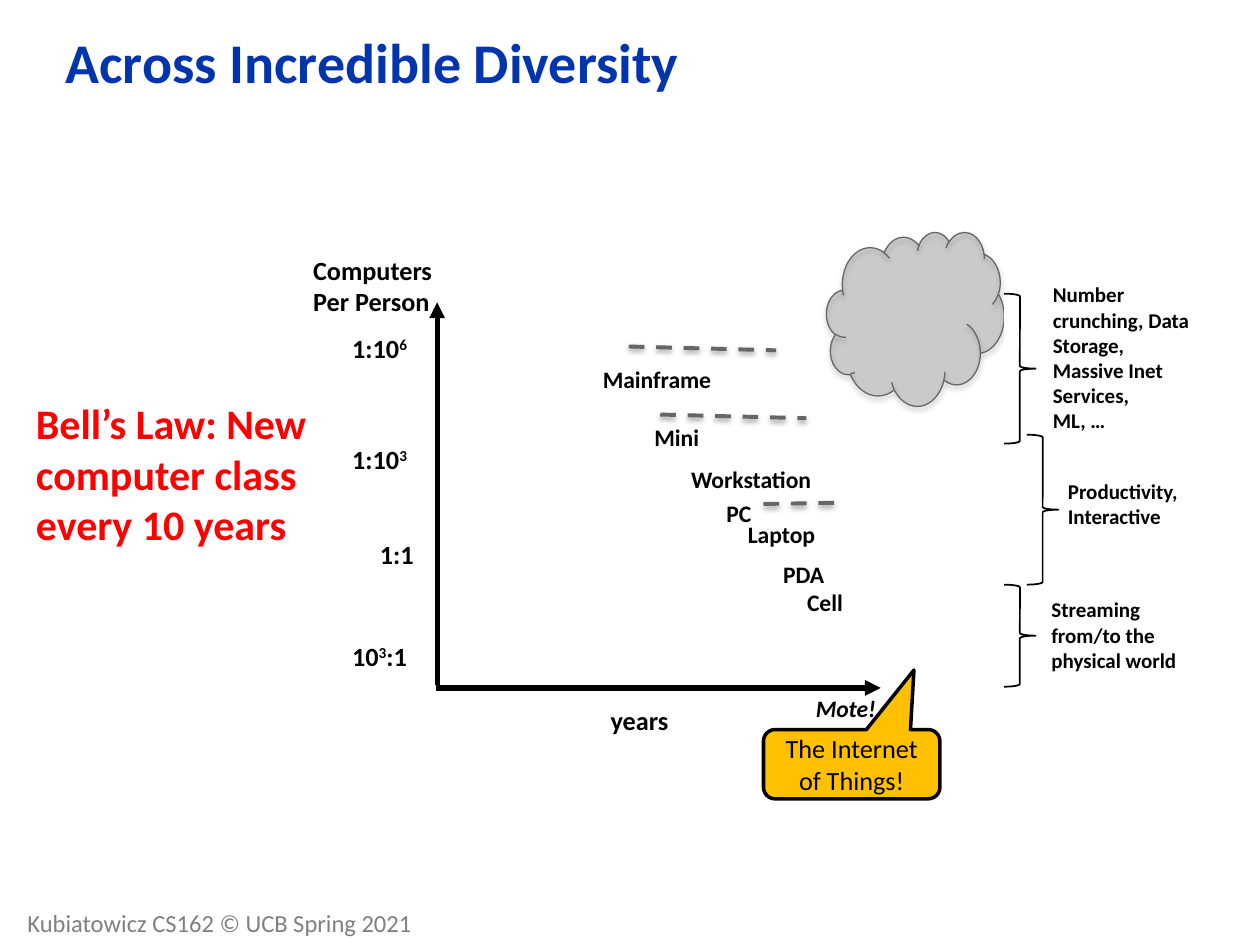
"""Build the Bell's Law slide on the diversity of computer classes."""
from lxml import etree
from pptx import Presentation
from pptx import util as u
from pptx.dml import color
from pptx.enum import dml, shapes, text
from pptx.oxml import ns

Pt = u.Pt
COLORS = {
    "title": "0234AD", "ink": "000000", "law": "FF0000", "dash": "666666",
    "callout": "FFC000", "paper": "FFFFFF", "footer": "808080",
}
RGB = {name: color.RGBColor.from_string(value) for name, value in COLORS.items()}
BOX = {
    "margin_left": Pt(5.4), "margin_right": Pt(5.4), "margin_top": Pt(2.7),
    "margin_bottom": Pt(2.7), "word_wrap": True, "auto_size": text.MSO_AUTO_SIZE.NONE,
}
WIDE = {**BOX, "margin_left": Pt(7.2), "margin_right": Pt(7.2),
        "margin_top": Pt(3.6), "margin_bottom": Pt(3.6)}
LEFT, CENTER = text.PP_ALIGN.LEFT, text.PP_ALIGN.CENTER


def write(shape, lines, size, ink="ink", align=LEFT, frame=BOX, **style):
    """Fill a shape with one paragraph a line; text between carets is superscript."""
    for name, value in frame.items():
        setattr(shape.text_frame, name, value)
    for number, line in enumerate(lines.split("\n")):
        para = shape.text_frame.paragraphs[0] if number == 0 else shape.text_frame.add_paragraph()
        para.alignment = align
        for part, words in enumerate(line.split("^")):
            if not words:
                continue
            span = para.add_run()
            span.text = words
            for name, value in {"name": "Calibri", "size": Pt(size), "bold": True, **style}.items():
                setattr(span.font, name, value)
            span.font.color.rgb = RGB[ink]
            if part % 2:
                span.font._element.set("baseline", "30000")


def add_effects(shape, opacity=0):
    """Give a shape an empty effect list, or a soft shadow below it."""
    for old in shape._element.spPr.findall(ns.qn("a:effectLst")):
        shape._element.spPr.remove(old)
    effects = etree.SubElement(shape._element.spPr, ns.qn("a:effectLst"))
    if opacity:
        shadow = etree.SubElement(effects, ns.qn("a:outerShdw"), blurRad="40000",
                                  dist="21500", dir="5400000", rotWithShape="0")
        ink = etree.SubElement(shadow, ns.qn("a:srgbClr"), val=COLORS["ink"])
        etree.SubElement(ink, ns.qn("a:alpha"), val=str(opacity * 1000))


deck = Presentation()
deck.slide_width, deck.slide_height = Pt(720), Pt(540)
page = deck.slides.add_slide(deck.slide_layouts[5])

title = page.shapes.title
title.left, title.top, title.width, title.height = Pt(30.24), Pt(21.6), Pt(563.76), Pt(31.68)
write(title, "Across Incredible Diversity", 32, "title",
      frame={**WIDE, "vertical_anchor": text.MSO_ANCHOR.MIDDLE})
title.text_frame.paragraphs[0].line_spacing = 0.9

axis_labels = [
    ("years", 335.5, 399.6, 59.8, 24, CENTER),
    ("Computers\nPer Person", 173.5, 142.6, 101.5, 42, LEFT),
    ("1:10^6^", 195.8, 187.2, 54, 24, LEFT),
    ("1:10^3^", 195.8, 250.6, 54, 24, LEFT),
    ("1:1", 211.7, 304.6, 38.9, 24, LEFT),
    ("10^3^:1", 195.8, 362.9, 54, 24, LEFT),
]
for label, left, top, width, height, align in axis_labels:
    box = page.shapes.add_textbox(Pt(left), Pt(top), Pt(width), Pt(height))
    write(box, label, 15, align=align)

computer_classes = [
    ("Mainframe", 339.1, 205.9, 110.9), ("Mini", 368.6, 239, 59.8),
    ("Workstation", 389.5, 262.8, 106.6), ("PC", 409.7, 282.2, 39.6),
    ("Laptop", 421.9, 294.5, 87.1), ("PDA", 442.1, 317.5, 50.4),
    ("Cell", 455.8, 333.4, 41), ("Mote!", 460.8, 393.8, 46.1),
]
for label, left, top, width in computer_classes:
    box = page.shapes.add_textbox(Pt(left), Pt(top), Pt(width), Pt(21.6))
    write(box, label, 13.5, italic=label == "Mote!")

lines = [
    ("axis", 249.1, 393.1, 503.3, 393.1), ("axis", 249.8, 391.7, 249.8, 172.8),
    ("dash", 359.3, 198, 443.5, 200.2), ("dash", 377.3, 236.9, 460.8, 239),
    ("dash", 436.3, 288, 477.4, 287.3),
]
for kind, *ends in lines:
    line = page.shapes.add_connector(shapes.MSO_CONNECTOR.STRAIGHT, *map(Pt, ends))
    if kind == "axis":
        line.line.color.rgb, line.line.width = RGB["ink"], Pt(3)
        etree.SubElement(line.line._get_or_add_ln(), ns.qn("a:tailEnd"), type="triangle")
        add_effects(line)
    else:
        line.line.color.rgb, line.line.width = RGB["dash"], Pt(2.25)
        line.line.dash_style = dml.MSO_LINE.DASH
        add_effects(line, 38)

KIND = shapes.MSO_SHAPE
outlines = [
    (KIND.CLOUD, 472.3, 132.5, 101.5, 99.4, [], "ink", "dash", 0.75),
    (KIND.ROUNDED_RECTANGULAR_CALLOUT, 436.3, 416.9, 100.8, 39.6,
     [0.353, -1.359, 0.167], "callout", "ink", 2),
    (KIND.RIGHT_BRACE, 573.8, 167.8, 18, 85.7, [0.083, 0.5], "paper", "ink", 1),
    (KIND.RIGHT_BRACE, 586.8, 248.4, 18, 85.7, [0.083, 0.5], "paper", "ink", 1),
    (KIND.RIGHT_BRACE, 573.8, 334.1, 18, 58.3, [0.083, 0.5], "paper", "ink", 1),
]
for kind, left, top, width, height, adjustments, fill, ink, weight in outlines:
    shape = page.shapes.add_shape(kind, Pt(left), Pt(top), Pt(width), Pt(height))
    for number, value in enumerate(adjustments):
        shape.adjustments[number] = value
    shape.fill.solid()
    shape.fill.fore_color.rgb = RGB[fill]
    shape.line.color.rgb, shape.line.width = RGB[ink], Pt(weight)
    shape.shadow.inherit = False
    if kind == KIND.CLOUD:
        tint = shape._element.spPr.find(f"{ns.qn('a:solidFill')}/{ns.qn('a:srgbClr')}")
        etree.SubElement(tint, ns.qn("a:alpha"), val="16000")
        add_effects(shape, 35)
    elif kind == KIND.ROUNDED_RECTANGULAR_CALLOUT:
        write(shape, "The Internet of Things!", 15, align=CENTER, bold=False,
              frame={**BOX, "vertical_anchor": text.MSO_ANCHOR.MIDDLE})

notes = [
    ("Bell’s Law: New computer class every 10 years", 15.1, 224.6, 171.4, 92.9, 24, "law"),
    ("Number crunching, Data Storage, Massive Inet Services,\nML, …",
     596.2, 158.4, 90, 92.9, 12, "ink"),
    ("Productivity,\nInteractive", 604.8, 270.7, 90, 34.6, 12, "ink"),
    ("Streaming from/to the physical world", 595.4, 338.4, 90, 49, 12, "ink"),
]
for label, left, top, width, height, size, ink in notes:
    box = page.shapes.add_textbox(Pt(left), Pt(top), Pt(width), Pt(height))
    write(box, label, size, ink)

footer = page.shapes.add_textbox(Pt(8.6), Pt(515.5), Pt(236.2), Pt(24.5))
write(footer, "Kubiatowicz CS162 © UCB Spring 2021", 14, "footer",
      frame={**WIDE, "word_wrap": False}, bold=False)

deck.save("out.pptx")
